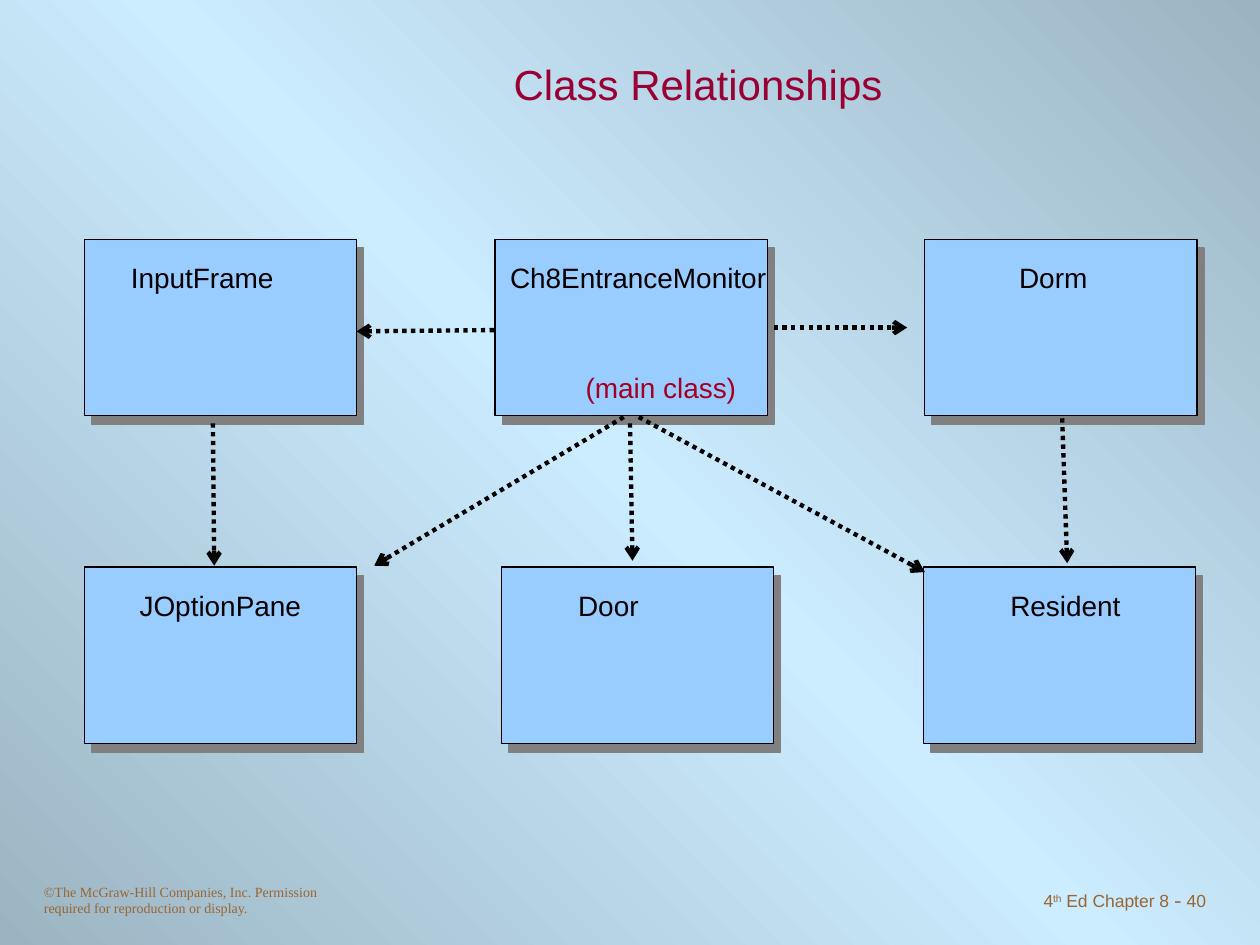
from copy import deepcopy

from lxml import etree
from pptx import Presentation
from pptx.dml.color import RGBColor
from pptx.enum.dml import MSO_LINE
from pptx.enum.shapes import MSO_CONNECTOR, MSO_SHAPE
from pptx.enum.text import MSO_ANCHOR, PP_ALIGN
from pptx.oxml.ns import qn
from pptx.util import Inches, Pt

ROUNDED = MSO_SHAPE.ROUNDED_RECTANGLE
STRAIGHT = MSO_CONNECTOR.STRAIGHT
DOTTED = MSO_LINE.ROUND_DOT
LEFT, CENTER, RIGHT = PP_ALIGN.LEFT, PP_ALIGN.CENTER, PP_ALIGN.RIGHT
TOP, MIDDLE = MSO_ANCHOR.TOP, MSO_ANCHOR.MIDDLE

BLACK = "000000"
CLASS_FILL = "99CCFF"
SHADOW_GRAY = "808080"
FOOTER_BROWN = "996633"
SERIF = "Times New Roman"
CLASS_WIDTH, CLASS_HEIGHT = 2.16, 1.4
UPPER_ROW, LOWER_ROW = 1.9, 4.5

CLASSES = [
    ("InputFrame", 0.67, UPPER_ROW, 0.27),
    ("Ch8EntranceMonitor", 3.93, UPPER_ROW, 0.02),
    ("Dorm", 7.34, UPPER_ROW, 0.65),
    ("JOptionPane", 0.67, LOWER_ROW, 0.34),
    ("Door", 3.98, LOWER_ROW, 0.51),
    ("Resident", 7.33, LOWER_ROW, 0.59),
]
DEPENDENCIES = [
    ((5, 3.36), (5.02, 4.45)),
    ((4.95, 3.31), (2.97, 4.49)),
    ((8.43, 3.32), (8.47, 4.47)),
    ((5.07, 3.31), (7.34, 4.54)),
    ((3.92, 2.62), (2.83, 2.63)),
    ((6.14, 2.6), (7.2, 2.6)),
    ((1.69, 3.36), (1.7, 4.49)),
]


def rgb(value):
    return RGBColor.from_string(value)


def add_text(slide, box, text, size=16, font="Arial", color=BLACK,
             align=LEFT, anchor=TOP):
    frame = slide.shapes.add_textbox(*map(Inches, box)).text_frame
    frame.word_wrap = True
    frame.vertical_anchor = anchor
    paragraph = frame.paragraphs[0]
    paragraph.alignment = align
    pieces = [(text, {})] if isinstance(text, str) else text
    for words, changes in pieces:
        run = paragraph.add_run()
        run.text = words
        run.font.size = Pt(changes.get("size", size))
        run.font.name = changes.get("font", font)
        run.font.color.rgb = rgb(color)
        if "baseline" in changes:
            run.font._element.set("baseline", str(changes["baseline"]))


def paint_background(slide):
    fill = slide.background.fill
    fill.gradient()
    fill.gradient_angle = 45
    stop_list = slide.element.find(".//" + qn("a:gsLst"))
    stop_list.append(deepcopy(stop_list[0]))
    stops = [(0, "9BB4C2"), (0.5, "CCECFF"), (1, "9BB4C2")]
    for stop, (position, color) in zip(fill.gradient_stops, stops):
        stop.position = position
        stop.color.rgb = rgb(color)


def cast_shadow(shape):
    shape.shadow.inherit = False
    effects = shape._element.spPr.find(qn("a:effectLst"))
    shadow = etree.SubElement(effects, qn("a:outerShdw"), dist=str(Pt(6.4)),
                              dir=str(51 * 60000), algn="ctr", rotWithShape="0")
    etree.SubElement(shadow, qn("a:srgbClr"), val=SHADOW_GRAY)


def add_class(slide, box, name, indent):
    left, top, width, height = box
    panel = slide.shapes.add_shape(ROUNDED, *map(Inches, box))
    panel.adjustments[0] = 0
    panel.fill.solid()
    panel.fill.fore_color.rgb = rgb(CLASS_FILL)
    panel.line.color.rgb = rgb(BLACK)
    panel.line.width = Pt(0.75)
    cast_shadow(panel)
    add_text(slide, (left + indent, top + 0.12, width + 0.1, 0.37), name)


def add_dependency(slide, start, end):
    arrow = slide.shapes.add_connector(STRAIGHT, *map(Inches, start + end))
    arrow.line.color.rgb = rgb(BLACK)
    arrow.line.width = Pt(2.5)
    arrow.line.dash_style = DOTTED
    properties = arrow._element.spPr
    etree.SubElement(properties.find(qn("a:ln")), qn("a:tailEnd"), type="arrow")
    etree.SubElement(properties, qn("a:effectLst"))


def add_diagram(slide):
    for name, left, top, indent in CLASSES:
        add_class(slide, (left, top, CLASS_WIDTH, CLASS_HEIGHT), name, indent)
    for start, end in DEPENDENCIES:
        add_dependency(slide, start, end)
    add_text(slide, (4.55, 2.89, 1.53, 0.37), "(main class)", color="A50021")


def add_footer(slide, copyright_box, page_box):
    add_text(slide, copyright_box,
             "©The McGraw-Hill Companies, Inc. Permission required for "
             "reproduction or display.",
             size=8, font=SERIF, color=FOOTER_BROWN)
    page = [
        ("4", {}),
        ("th", {"baseline": 30000}),
        (" Ed Chapter 8", {}),
        (" - ", {"size": 12, "font": SERIF}),
        ("40", {}),
    ]
    add_text(slide, page_box, page, size=10, color=FOOTER_BROWN, align=RIGHT)


def main():
    deck = Presentation()
    deck.slide_width = Inches(10)
    deck.slide_height = Inches(7.5)
    slide = deck.slides.add_slide(deck.slide_layouts[6])
    paint_background(slide)
    add_footer(slide, (0.25, 6.96, 2.5, 0.37), (7.5, 6.99, 2.17, 0.34))
    add_text(slide, (1.5, 0.25, 8.08, 0.83), "Class Relationships", size=24,
             color="990033", align=CENTER, anchor=MIDDLE)
    add_diagram(slide)
    deck.save("out.pptx")


if __name__ == "__main__":
    main()
